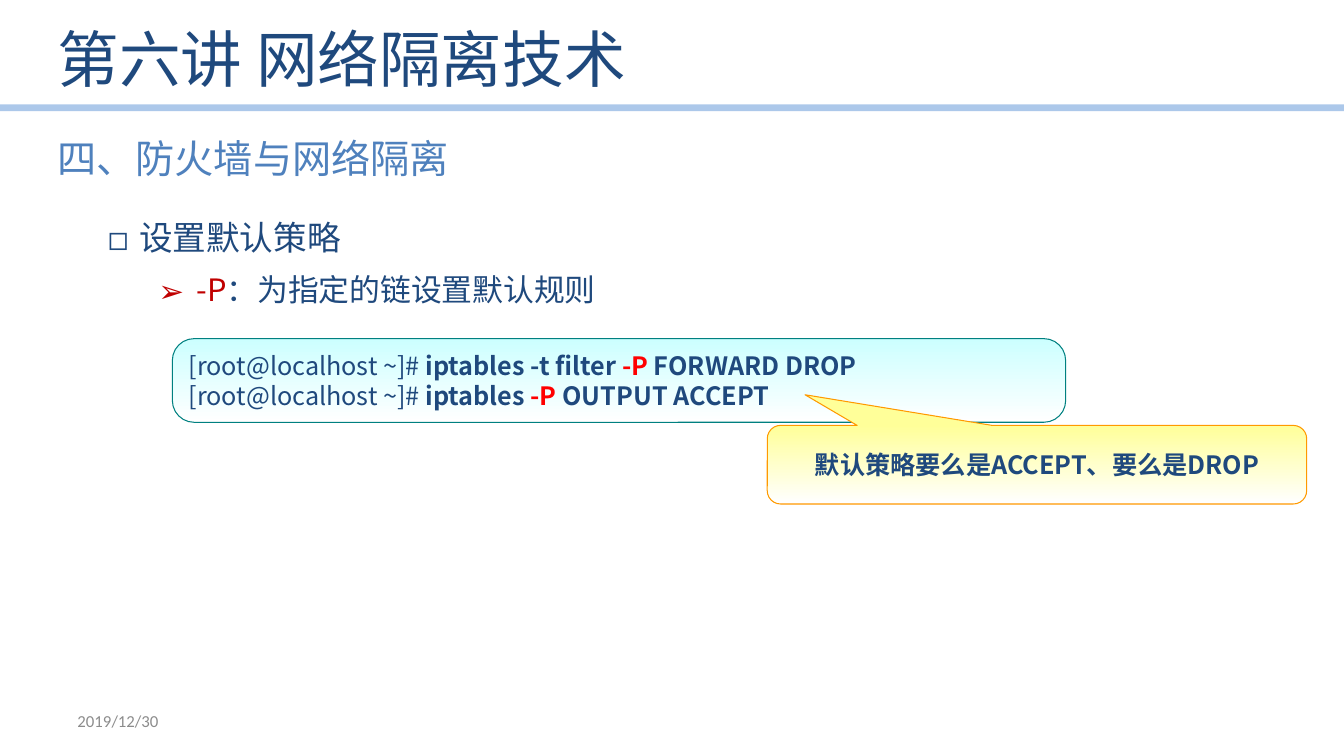
from lxml.etree import SubElement
from pptx import Presentation
from pptx.dml.color import RGBColor
from pptx.enum.shapes import MSO_CONNECTOR, MSO_SHAPE
from pptx.enum.text import MSO_ANCHOR, MSO_AUTO_SIZE, PP_ALIGN
from pptx.oxml.ns import qn
from pptx.util import Inches, Pt

COLORS = {
    "navy": "1F497D", "blue": "4F81BD", "rule": "8EB4E3", "gray": "8C8C8C",
    "crimson": "C00000", "red": "FF0000", "white": "FFFFFF",
    "cyan": "CCFFFF", "teal": "008080", "yellow": "FFFF99", "orange": "FF9900",
}


def rgb(name):
    return RGBColor.from_string(COLORS[name])


class LectureSlide:
    """Holds the lecture style and the slide being built."""

    def __init__(self, presentation, font="Noto Sans CJK SC"):
        self.font = font
        self.slide = presentation.slides.add_slide(presentation.slide_layouts[1])

    def place(self, shape, box):
        shape.left, shape.top, shape.width, shape.height = map(Inches, box)

    def frame(self, shape, anchor=MSO_ANCHOR.TOP, wrap=True):
        text_frame = shape.text_frame
        text_frame.auto_size = MSO_AUTO_SIZE.NONE
        text_frame.word_wrap = wrap
        text_frame.vertical_anchor = anchor
        return text_frame

    def add_runs(self, paragraph, parts, size, font=None, align=PP_ALIGN.LEFT):
        paragraph.alignment = align
        for text, color, bold in parts:
            run = paragraph.add_run()
            run.text = text
            run.font.size = Pt(size)
            run.font.bold = bold
            run.font.color.rgb = rgb(color)
            run.font.name = font or self.font
            SubElement(run._r.get_or_add_rPr(), qn("a:ea"), typeface=self.font)

    def rule(self, y, width):
        line = self.slide.shapes.add_connector(
            MSO_CONNECTOR.STRAIGHT, 0, Inches(y), Inches(width), Inches(y))
        line.line.width = Pt(4.75)
        line.line.color.rgb = rgb("rule")
        tint = line._element.spPr.find(".//" + qn("a:srgbClr"))
        SubElement(tint, qn("a:alpha"), val="73000")
        SubElement(line._element.spPr, qn("a:effectLst"))

    def title(self, text, box):
        heading = self.slide.shapes.title
        self.place(heading, box)
        text_frame = self.frame(heading, MSO_ANCHOR.MIDDLE)
        self.add_runs(text_frame.paragraphs[0], [(text, "navy", False)], 44)

    def outline(self, items, box):
        body = self.slide.placeholders[1]
        self.place(body, box)
        text_frame = self.frame(body)
        for index, (level, bullet, margin, hang, size, parts) in enumerate(items):
            paragraph = text_frame.add_paragraph() if index else text_frame.paragraphs[0]
            paragraph.level = level
            properties = paragraph._p.get_or_add_pPr()
            properties.set("marL", str(Inches(margin)))
            properties.set("indent", str(-Inches(hang)))
            SubElement(properties, qn("a:buFont"), typeface=self.font)
            SubElement(properties, qn("a:buChar"), char=bullet)
            paragraph.line_spacing = 1.2
            paragraph.space_before = Pt(0.2 * size if index else 0)
            paragraph.font.size = Pt(size)
            paragraph.font.color.rgb = rgb("navy")
            self.add_runs(paragraph, parts, size, align=PP_ALIGN.JUSTIFY)

    def label(self, text, box, size, color, font=None, anchor=MSO_ANCHOR.TOP, wrap=True):
        caption = self.slide.shapes.add_textbox(*map(Inches, box))
        text_frame = self.frame(caption, anchor, wrap)
        self.add_runs(text_frame.paragraphs[0], [(text, color, False)], size, font)

    def panel(self, preset, box, adjustments, tint, outline, lines,
              anchor=MSO_ANCHOR.TOP, align=PP_ALIGN.LEFT):
        panel = self.slide.shapes.add_shape(preset, *map(Inches, box))
        for index, value in enumerate(adjustments):
            panel.adjustments[index] = value
        panel.shadow.inherit = False
        panel.fill.gradient()
        panel.fill.gradient_angle = 270
        for stop, color, position in zip(panel.fill.gradient_stops, (tint, "white"), (0, 1)):
            stop.color.rgb = rgb(color)
            stop.position = position
        panel.line.color.rgb = rgb(outline)
        panel.line.width = Pt(0.75)
        text_frame = self.frame(panel, anchor)
        for index, parts in enumerate(lines):
            paragraph = text_frame.add_paragraph() if index else text_frame.paragraphs[0]
            self.add_runs(paragraph, parts, 18, align=align)


def main():
    presentation = Presentation()
    presentation.slide_width, presentation.slide_height = Inches(13.33), Inches(7.5)
    lecture = LectureSlide(presentation)
    lecture.rule(1.07, 13.33)
    lecture.title("第六讲 网络隔离技术", (0.47, 0.09, 11.02, 0.97))
    lecture.outline([
        (1, "◻", 0.81, 0.31, 24, [("设置默认策略", "navy", False)]),
        (2, "➢", 1.38, 0.38, 22, [("-P", "crimson", False),
                                  ("：为指定的链设置默认规则", "navy", False)]),
    ], (0.47, 2.02, 12.28, 4.41))
    lecture.label("四、防火墙与网络隔离", (0.47, 1.28, 4.13, 0.57), 28, "blue", wrap=False)

    prompt = ("[root@localhost ~]# ", "navy", False)
    lecture.panel(
        MSO_SHAPE.ROUNDED_RECTANGLE, (1.71, 3.36, 8.86, 0.83), [0.26], "cyan", "teal",
        [[prompt, ("iptables -t filter ", "navy", True), ("-P", "red", True),
          (" FORWARD DROP", "navy", True)],
         [prompt, ("iptables ", "navy", True), ("-P ", "red", True),
          ("OUTPUT ACCEPT", "navy", True)]])
    lecture.panel(
        MSO_SHAPE.ROUNDED_RECTANGULAR_CALLOUT, (7.61, 4.22, 5.35, 0.78),
        [-0.43, -0.89, 0.17], "yellow", "orange",
        [[("默认策略要么是ACCEPT、要么是DROP", "navy", True)]],
        MSO_ANCHOR.MIDDLE, PP_ALIGN.CENTER)
    lecture.label("2019/12/30", (0.67, 6.95, 3.11, 0.4), 12, "gray", "Calibri",
                  MSO_ANCHOR.MIDDLE)
    presentation.save("out.pptx")


if __name__ == "__main__":
    main()
